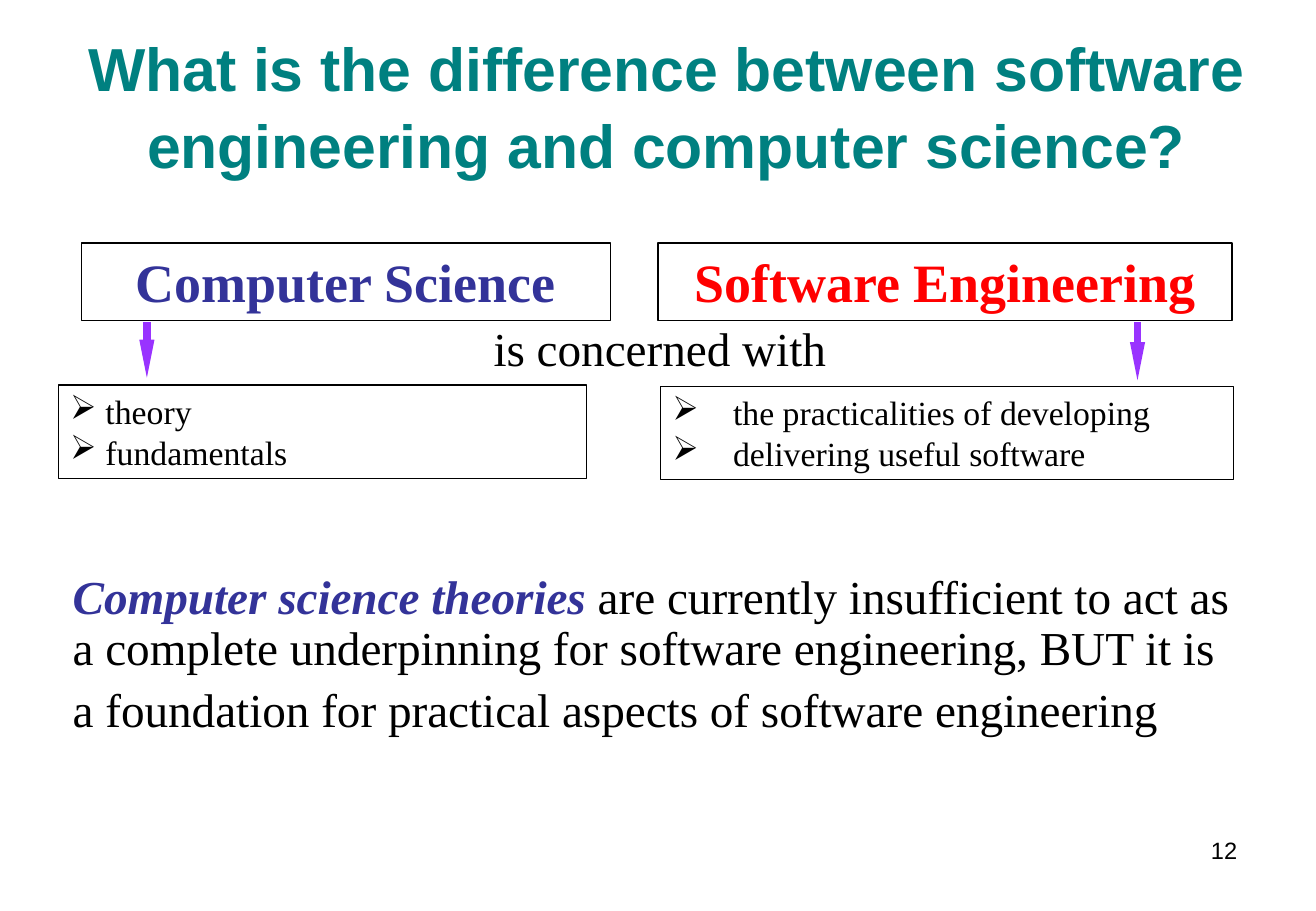
"""Build a slide comparing software engineering with computer science."""
from lxml.etree import SubElement
from pptx import Presentation
from pptx.dml.color import RGBColor
from pptx.enum.shapes import MSO_CONNECTOR, MSO_SHAPE
from pptx.enum.text import MSO_ANCHOR, PP_ALIGN
from pptx.oxml.ns import qn
from pptx.util import Pt

PX = 9144
SLIDE_SIZE = (1084, 750)
TEAL = RGBColor(0x00, 0x80, 0x80)
INDIGO = RGBColor(0x33, 0x33, 0x99)
RED = RGBColor(0xFF, 0x00, 0x00)
BLACK = RGBColor(0x00, 0x00, 0x00)
VIOLET = RGBColor(0x99, 0x33, 0xFF)

SERIF = {"name": "Times New Roman"}
TITLE_FONT = {"name": "Arial", "size": Pt(36), "bold": True}
HEADING_FONT = SERIF | {"size": Pt(32), "bold": True}
BODY_FONT = SERIF | {"size": Pt(28)}
ITEM_FONT = SERIF | {"size": Pt(20)}
NUMBER_FONT = {"name": "Arial", "size": Pt(14)}
CENTERED = {"alignment": PP_ALIGN.CENTER}
HEADING_FORMAT = CENTERED | {"space_before": Pt(4)}
SUMMARY_FORMAT = {"line_spacing": 0.9, "space_before": Pt(2.5)}

TITLE = "What is the difference between software engineering and computer science?"
SUMMARY = [
    ("Computer science theories", BODY_FONT | {"bold": True, "italic": True}, INDIGO),
    (" are currently insufficient to act as a complete underpinning for software "
     "engineering, BUT it is a foundation for practical aspects of software engineering",
     BODY_FONT, BLACK),
    (" ", SERIF | {"size": Pt(36)}, BLACK),
]
TEXTS = [
    ((45, 23, 1008, 125), [(TITLE, TITLE_FONT, TEAL)],
     CENTERED | {"line_spacing": 1.05}, MSO_ANCHOR.MIDDLE),
    ((333, 258, 421, 57), [("is concerned with", BODY_FONT, BLACK)],
     CENTERED, MSO_ANCHOR.TOP),
    ((50, 467, 975, 148), SUMMARY, SUMMARY_FORMAT, MSO_ANCHOR.TOP),
    ((776, 683, 253, 52), [("12", NUMBER_FONT, BLACK)],
     {"alignment": PP_ALIGN.RIGHT}, MSO_ANCHOR.TOP),
]
FIELDS = [
    {"heading": "Computer Science", "color": INDIGO, "heading_at": (67, 200, 436, 64),
     "items": ["theory", "fundamentals"], "items_at": (48, 317, 435, 77),
     "indent": 29, "arrow": (121, 265, 311)},
    {"heading": "Software Engineering", "color": RED, "heading_at": (542, 200, 473, 64),
     "items": ["the practicalities of developing", "delivering useful software"],
     "items_at": (544, 318, 472, 77), "indent": 50, "arrow": (937, 265, 313)},
]


def emu(lengths):
    return [length * PX for length in lengths]


def set_all(target, values):
    for name, value in values.items():
        setattr(target, name, value)


def write(box, paragraphs, layout, anchor=MSO_ANCHOR.TOP):
    frame = box.text_frame
    set_all(frame, {"word_wrap": True, "vertical_anchor": anchor})
    for index, spans in enumerate(paragraphs):
        para = frame.add_paragraph() if index else frame.paragraphs[0]
        set_all(para, {"alignment": PP_ALIGN.LEFT} | layout)
        for text, font, color in spans:
            span = para.add_run()
            span.text = text
            set_all(span.font, font)
            span.font.color.rgb = color


def add_frame(page, place):
    box = page.shapes.add_shape(MSO_SHAPE.RECTANGLE, *emu(place))
    box.shadow.inherit = False
    box.fill.background()
    box.line.color.rgb = BLACK
    box.line.width = Pt(0.75)
    return box


def add_bullets(box, indent):
    for para in box.text_frame.paragraphs:
        properties = para._p.get_or_add_pPr()
        properties.set("marL", str(indent * PX))
        properties.set("indent", str(-indent * PX))
        SubElement(properties, qn("a:buFont"), typeface="Wingdings 3")
        properties.remove(properties[-1])
        SubElement(properties, qn("a:buChar"), char="➢")


def add_arrow(page, x, top, bottom):
    arrow = page.shapes.add_connector(MSO_CONNECTOR.STRAIGHT, *emu((x, top, x, bottom)))
    arrow.line.color.rgb = VIOLET
    arrow.line.width = Pt(4.5)
    SubElement(arrow.line._get_or_add_ln(), qn("a:tailEnd"),
               type="triangle", w="sm", len="lg")
    SubElement(arrow._element.spPr, qn("a:effectLst"))


def main():
    deck = Presentation()
    deck.slide_width, deck.slide_height = emu(SLIDE_SIZE)
    page = deck.slides.add_slide(deck.slide_layouts[6])
    for place, spans, layout, anchor in TEXTS:
        write(page.shapes.add_textbox(*emu(place)), [spans], layout, anchor)
    for field in FIELDS:
        heading = add_frame(page, field["heading_at"])
        write(heading, [[(field["heading"], HEADING_FONT, field["color"])]], HEADING_FORMAT)
        concerns = add_frame(page, field["items_at"])
        write(concerns, [[(item, ITEM_FONT, BLACK)] for item in field["items"]], {})
        add_bullets(concerns, field["indent"])
        add_arrow(page, *field["arrow"])
    deck.save("out.pptx")


if __name__ == "__main__":
    main()
